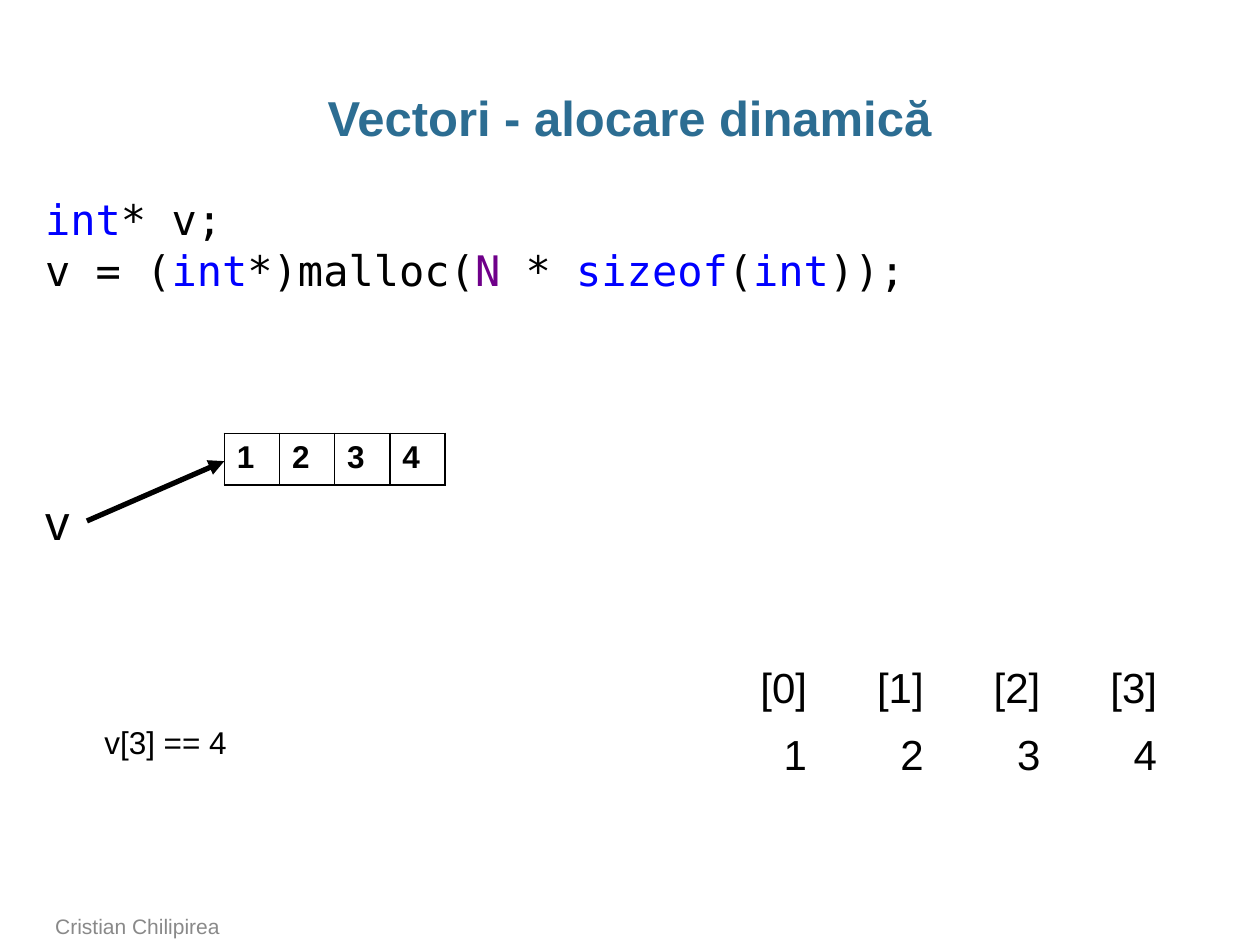
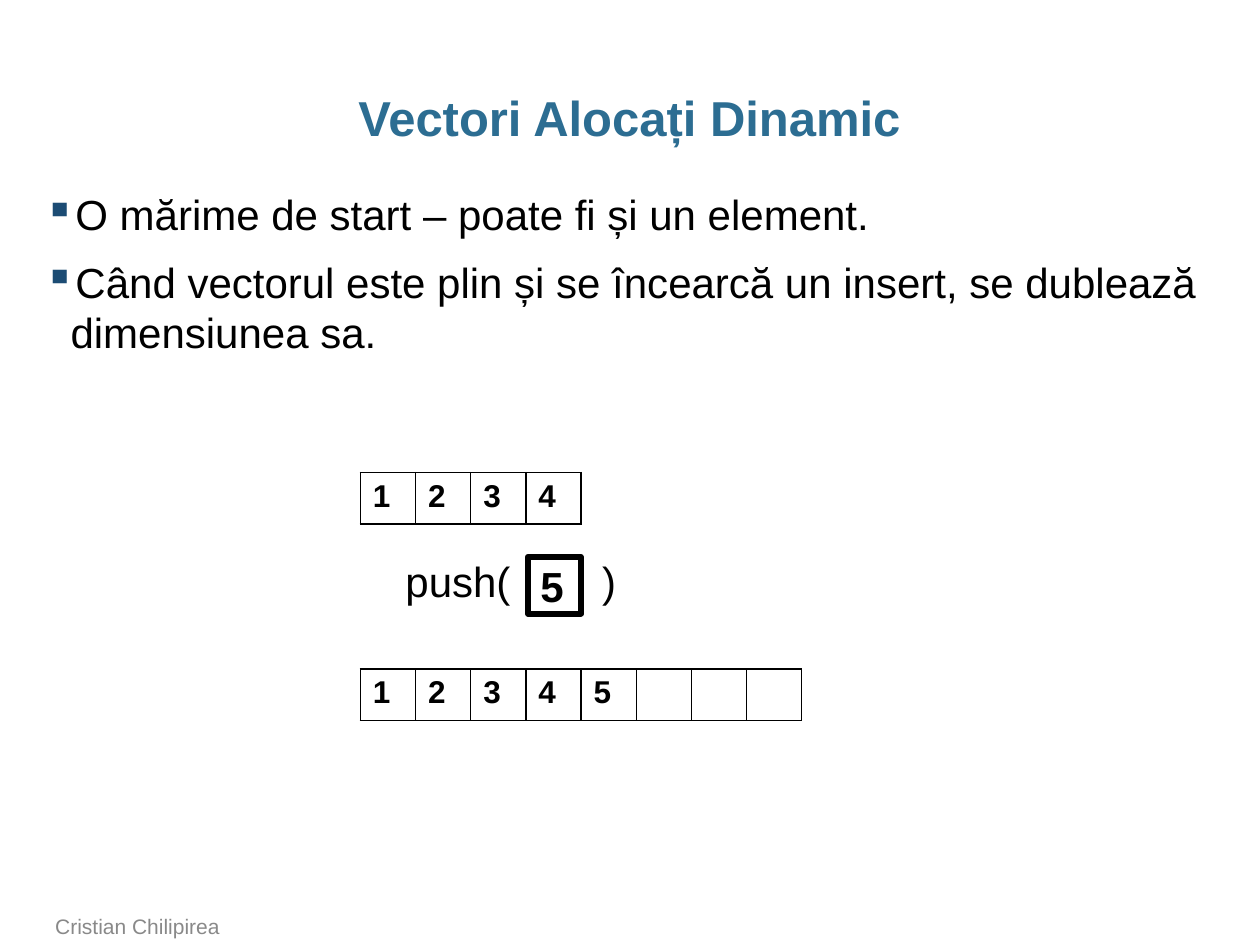
from dataclasses import dataclass

from lxml import etree
from pptx import Presentation
from pptx.dml.color import RGBColor
from pptx.enum.shapes import MSO_CONNECTOR, MSO_SHAPE
from pptx.enum.text import MSO_ANCHOR, PP_ALIGN
from pptx.oxml.ns import qn
from pptx.util import Inches, Pt

LEFT, CENTER = PP_ALIGN.LEFT, PP_ALIGN.CENTER
TOP, MIDDLE, BOTTOM = MSO_ANCHOR.TOP, MSO_ANCHOR.MIDDLE, MSO_ANCHOR.BOTTOM
RECT, STRAIGHT = MSO_SHAPE.RECTANGLE, MSO_CONNECTOR.STRAIGHT
RIGHT_SIDE = 3
COLS, ROWS = 100, 75
CELL_W, CELL_H = 4.38, 4.1


@dataclass(frozen=True)
class Theme:
    sans: str = "Arial"
    mono: str = "DejaVu Sans Mono"
    ink: str = "000000"
    paper: str = "FFFFFF"
    title: str = "2C6D92"
    mark: str = "1C4C74"
    muted: str = "898989"
    word: str = "0000FF"
    macro: str = "6F008A"
    head: float = 28
    body: float = 24
    note: float = 18
    foot: float = 12
    gap: float = 9.6
    thin: float = 1
    arrow: float = 3
    frame: float = 3.5


def node(parent, tag, **attrs):
    return etree.SubElement(parent, qn(tag), attrs)


def paint(parent, color):
    node(node(parent, "a:solidFill"), "a:srgbClr", val=color)


class Deck:
    def __init__(self, theme):
        self.theme = theme
        self.show = Presentation()
        self.show.slide_width = Inches(10)
        self.show.slide_height = Inches(7.5)
        self.slide = None

    def across(self, cols):
        return round(self.show.slide_width * cols / COLS)

    def down(self, rows):
        return round(self.show.slide_height * rows / ROWS)

    def area(self, x, y, w, h):
        return self.across(x), self.down(y), self.across(w), self.down(h)

    def page(self, title):
        look = self.theme
        self.slide = self.show.slides.add_slide(self.show.slide_layouts[6])
        para, = self.text((3.4, 6.8, 93.1, 5), [[title]], look.head,
                          look.title, bold=True, align=CENTER, inset=0)
        para.line_spacing = 0.95
        self.text((3.4, 72.2, 73.7, 2.8), [["Cristian Chilipirea"]],
                  look.foot, look.muted, anchor=BOTTOM)

    def letter(self, frame, lines, size, color=None, font=None, bold=False,
               align=LEFT):
        look = self.theme
        for i, line in enumerate(lines):
            para = frame.paragraphs[0] if i == 0 else frame.add_paragraph()
            para.alignment = align
            for part in line:
                words, tint = part if isinstance(part, tuple) else (part, color)
                run = para.add_run()
                run.text = words
                run.font.size = Pt(size)
                run.font.name = font or look.sans
                run.font.bold = bold
                run.font.color.rgb = RGBColor.from_string(tint or look.ink)
        return frame.paragraphs

    def text(self, place, lines, size, color=None, font=None, bold=False,
             align=LEFT, anchor=TOP, inset=1):
        frame = self.slide.shapes.add_textbox(*self.area(*place)).text_frame
        frame.word_wrap = True
        frame.vertical_anchor = anchor
        frame.margin_left = frame.margin_right = self.across(inset)
        return self.letter(frame, lines, size, color, font, bold, align)

    def label(self, place, words, size):
        self.text(place, [[words]], size)
        return self.slide.shapes[-1]

    def tabs(self, para, stops, side):
        rule = node(para._p.get_or_add_pPr(), "a:tabLst")
        for stop in stops:
            node(rule, "a:tab", pos=str(self.across(stop)), algn=side)

    def list(self, place, items):
        look = self.theme
        for para in self.text(place, [[item] for item in items], look.body,
                              inset=0):
            para.space_before = Pt(look.gap)
            props = para._p.get_or_add_pPr()
            props.set("marL", str(self.across(2.1)))
            props.set("indent", str(self.across(-2.1)))
            node(node(props, "a:buClr"), "a:srgbClr", val=look.mark)
            node(props, "a:buChar", char="▪")

    def array(self, x, y, values):
        look = self.theme
        place = self.area(x, y, CELL_W * len(values), CELL_H)
        table = self.slide.shapes.add_table(1, len(values), *place).table
        table.first_row = table.horz_banding = False
        for column, cell, value in zip(table.columns, table.rows[0].cells,
                                       values):
            column.width = self.across(CELL_W)
            if value:
                self.letter(cell.text_frame, [[value]], look.note, bold=True)
            props = cell._tc.get_or_add_tcPr()
            for side in ("a:lnL", "a:lnR", "a:lnT", "a:lnB"):
                paint(node(props, side, w=str(Pt(look.thin))), look.ink)
            cell.fill.solid()
            cell.fill.fore_color.rgb = RGBColor.from_string(look.paper)

    def box(self, place, words):
        look = self.theme
        shape = self.slide.shapes.add_shape(RECT, *self.area(*place))
        shape.shadow.inherit = False
        shape.fill.background()
        shape.line.color.rgb = RGBColor.from_string(look.ink)
        shape.line.width = Pt(look.frame)
        frame = shape.text_frame
        frame.word_wrap = False
        frame.vertical_anchor = MIDDLE
        self.letter(frame, [[words]], look.body, bold=True)

    def arrow(self, source, x, y):
        look = self.theme
        line = self.slide.shapes.add_connector(
            STRAIGHT, 0, 0, self.across(x), self.down(y))
        line.begin_connect(source, RIGHT_SIDE)
        line.line.color.rgb = RGBColor.from_string(look.ink)
        line.line.width = Pt(look.arrow)
        props = line._element.spPr
        node(props.find(qn("a:ln")), "a:tailEnd", type="triangle")
        node(props, "a:effectLst")


def alloc(deck):
    look = deck.theme
    kind = ("int", look.word)
    deck.page("Vectori - alocare dinamică")
    deck.array(17.8, 34.4, "1234")
    code = [
        [kind, "* v;"],
        ["v = (", kind, "*)malloc(", ("N", look.macro), " * ",
         ("sizeof", look.word), "(", kind, "));"],
    ]
    deck.text((2.6, 14.9, 83.8, 9.1), code, look.body, font=look.mono)
    name = deck.label((2.6, 38.5, 4.3, 5.7), "v", look.head)
    deck.arrow(name, 17.8, 36.6)
    rows = (["[0]", "[1]", "[2]", "[3]"], "1234")
    lines = [["".join("\t" + item for item in row)] for row in rows]
    stops = [12.85 + 9.26 * i for i in range(4)]
    for para in deck.text((51.2, 52, 48.8, 17.8), lines, look.body, inset=0):
        para.space_before = Pt(look.gap)
        deck.tabs(para, stops, "r")
    deck.label((7.3, 56.9, 14, 4), "v[3] == 4", look.note)


def grow(deck):
    look = deck.theme
    left = 28.6
    deck.page("Vectori Alocați Dinamic")
    deck.list((3.5, 14.5, 93.2, 55.7), [
        "O mărime de start – poate fi și un element.",
        "Când vectorul este plin și se încearcă un insert, se dublează "
        "dimensiunea sa.",
    ])
    deck.array(left, 37.5, "1234")
    call, = deck.text((31.2, 43.6, 19, 5), [["push(\t)"]], look.body)
    deck.tabs(call, [15.6], "l")
    deck.box((41.9, 44.2, 4.2, 4.5), "5")
    deck.array(left, 53.1, "1234")
    deck.array(left + 4 * CELL_W, 53.1, ["5", "", "", ""])


def main():
    deck = Deck(Theme())
    alloc(deck)
    grow(deck)
    deck.show.save("out.pptx")


if __name__ == "__main__":
    main()
